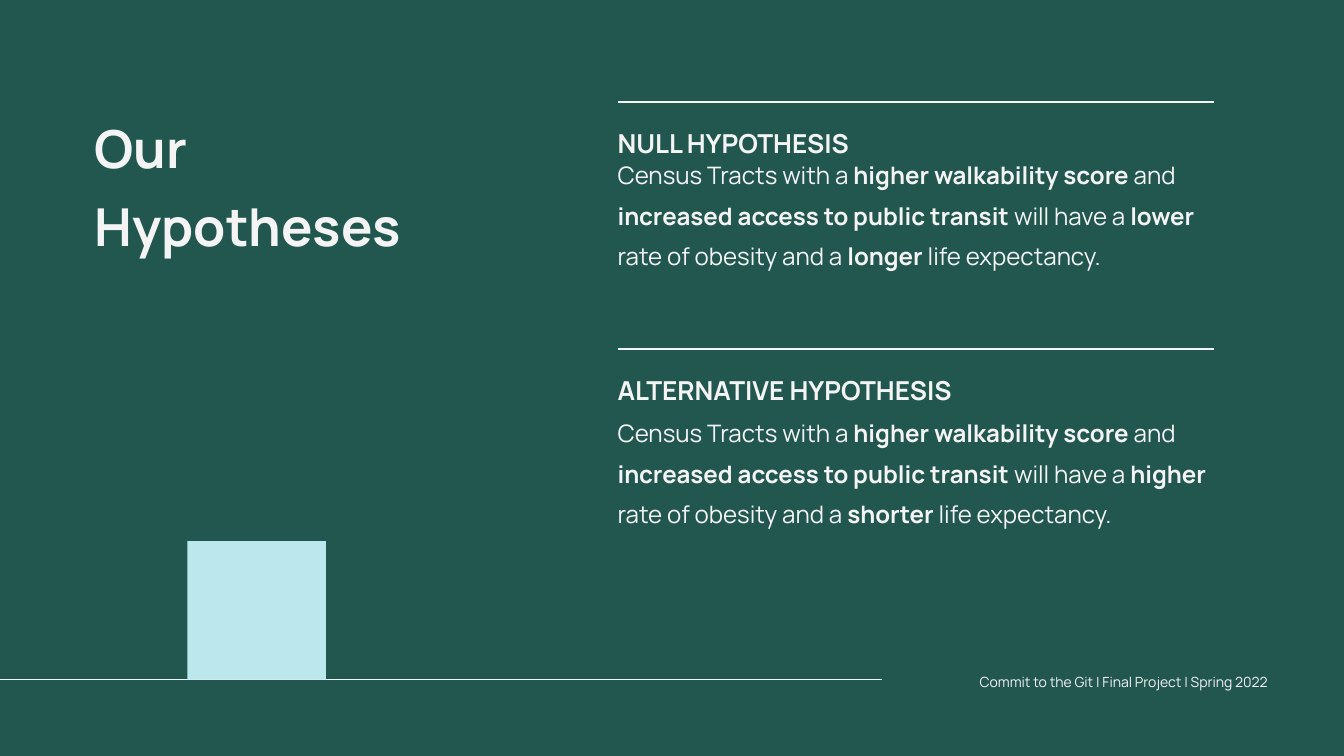
from lxml import etree
from pptx import Presentation
from pptx.dml.color import RGBColor
from pptx.enum.shapes import MSO_CONNECTOR, MSO_SHAPE
from pptx.enum.text import MSO_AUTO_SIZE, PP_ALIGN
from pptx.oxml.ns import qn
from pptx.util import Inches, Pt

STRAIGHT = MSO_CONNECTOR.STRAIGHT
RECTANGLE = MSO_SHAPE.RECTANGLE
GROW = MSO_AUTO_SIZE.SHAPE_TO_FIT_TEXT
LEFT, RIGHT = PP_ALIGN.LEFT, PP_ALIGN.RIGHT

THEME = {
    "font": "Manrope",
    "green": RGBColor.from_string("225750"),
    "white": RGBColor.from_string("F4F4F4"),
    "aqua": RGBColor.from_string("BAE8ED"),
    "title": Pt(56),
    "heading": Pt(28),
    "body": Pt(25.8),
    "footer": Pt(15),
}

deck = Presentation()
deck.slide_width, deck.slide_height = Inches(20), Inches(11.25)
COLUMN, ROW = deck.slide_width / 100, deck.slide_height / 100
page = deck.slides.add_slide(deck.slide_layouts[6])
page.background.fill.solid()
page.background.fill.fore_color.rgb = THEME["green"]


def add_rule(start, end, row, weight):
    """Draw a horizontal line between two grid columns."""
    y = int(row * ROW)
    rule = page.shapes.add_connector(
        STRAIGHT, int(start * COLUMN), y, int(end * COLUMN), y)
    rule.line.color.rgb = THEME["white"]
    rule.line.width = Pt(weight)
    etree.SubElement(rule._element.spPr, qn("a:effectLst"))


def add_text(left, top, width, height, paragraphs, size, spacing,
             bold=False, align=LEFT):
    """Add a text box; each paragraph's spans switch weight in turn."""
    box = page.shapes.add_textbox(int(left * COLUMN), int(top * ROW),
                                  int(width * COLUMN), int(height * ROW))
    frame = box.text_frame
    frame_format = {"word_wrap": True, "auto_size": GROW, "margin_left": 0,
                    "margin_top": 0, "margin_right": 0, "margin_bottom": 0}
    for name, value in frame_format.items():
        setattr(frame, name, value)
    for number, spans in enumerate(paragraphs):
        para = frame.add_paragraph() if number else frame.paragraphs[0]
        para.alignment, para.line_spacing = align, spacing
        for position, text in enumerate(spans):
            span = para.add_run()
            span.text = text
            span_format = {"name": THEME["font"], "size": THEME[size],
                           "bold": bold != (position % 2 == 1)}
            for name, value in span_format.items():
                setattr(span.font, name, value)
            span.font.color.rgb = THEME["white"]


# Ground line with the square standing on it
GROUND = 89.9
SQUARE_LEFT, SQUARE_WIDTH = 13.95, 10.3
side = int(SQUARE_WIDTH * COLUMN)
add_rule(0, 65.65, GROUND, 0.75)
square = page.shapes.add_shape(
    RECTANGLE, int(SQUARE_LEFT * COLUMN), int(GROUND * ROW) - side, side, side)
square.shadow.inherit = False
square.fill.solid()
square.fill.fore_color.rgb = THEME["aqua"]
square.line.fill.background()

# Title and footer
add_text(7.05, 13.25, 25.3, 17.15, [["Our"], ["Hypotheses"]],
         "title", 1.25, bold=True)
add_text(66.6, 88.2, 27.75, 2.6,
         [["Commit to the Git | Final Project | Spring 2022"]],
         "footer", 1.4, align=RIGHT)

# Hypotheses: rule row, body row, heading, obesity rate, life expectancy
TEXT_LEFT, TEXT_WIDTH = 45.95, 44.35
HYPOTHESES = [
    (13.5, 19.75, "NULL HYPOTHESIS", "lower ", "longer "),
    (46.15, 53.85, "ALTERNATIVE HYPOTHESIS", "higher ", "shorter "),
]
for rule_row, body_row, heading, obesity, life in HYPOTHESES:
    add_rule(TEXT_LEFT, TEXT_LEFT + TEXT_WIDTH, rule_row, 2.25)
    add_text(TEXT_LEFT, rule_row + 1.65, TEXT_WIDTH, 4.55, [[heading]],
             "heading", 1.4, bold=True)
    statement = ["Census Tracts with a ", "higher walkability score", " and ",
                 "increased access to public transit", " will have a ",
                 obesity, "rate of obesity and a ", life, "life expectancy."]
    add_text(TEXT_LEFT, body_row, TEXT_WIDTH, 20, [statement], "body", 1.4)

deck.save("out.pptx")
